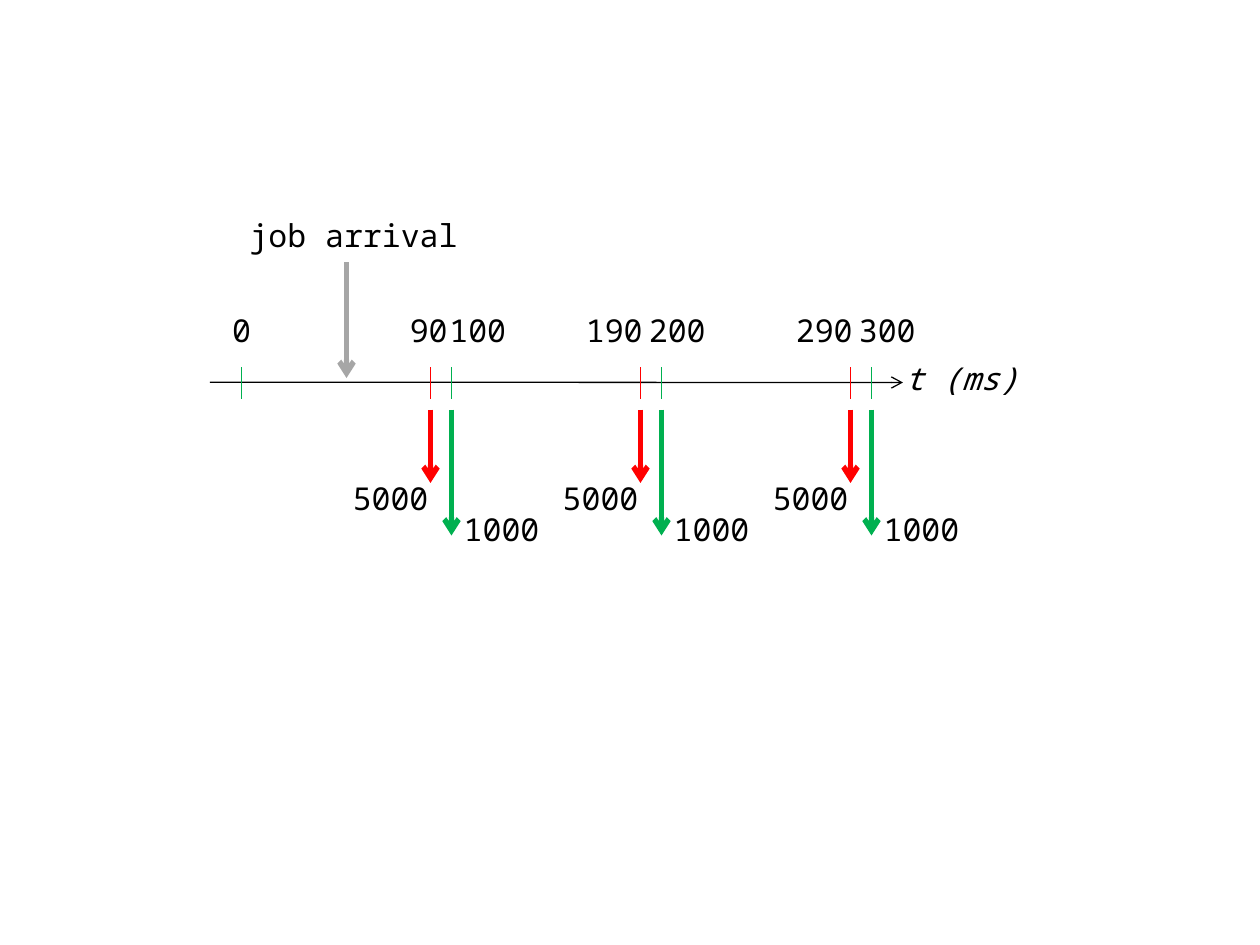
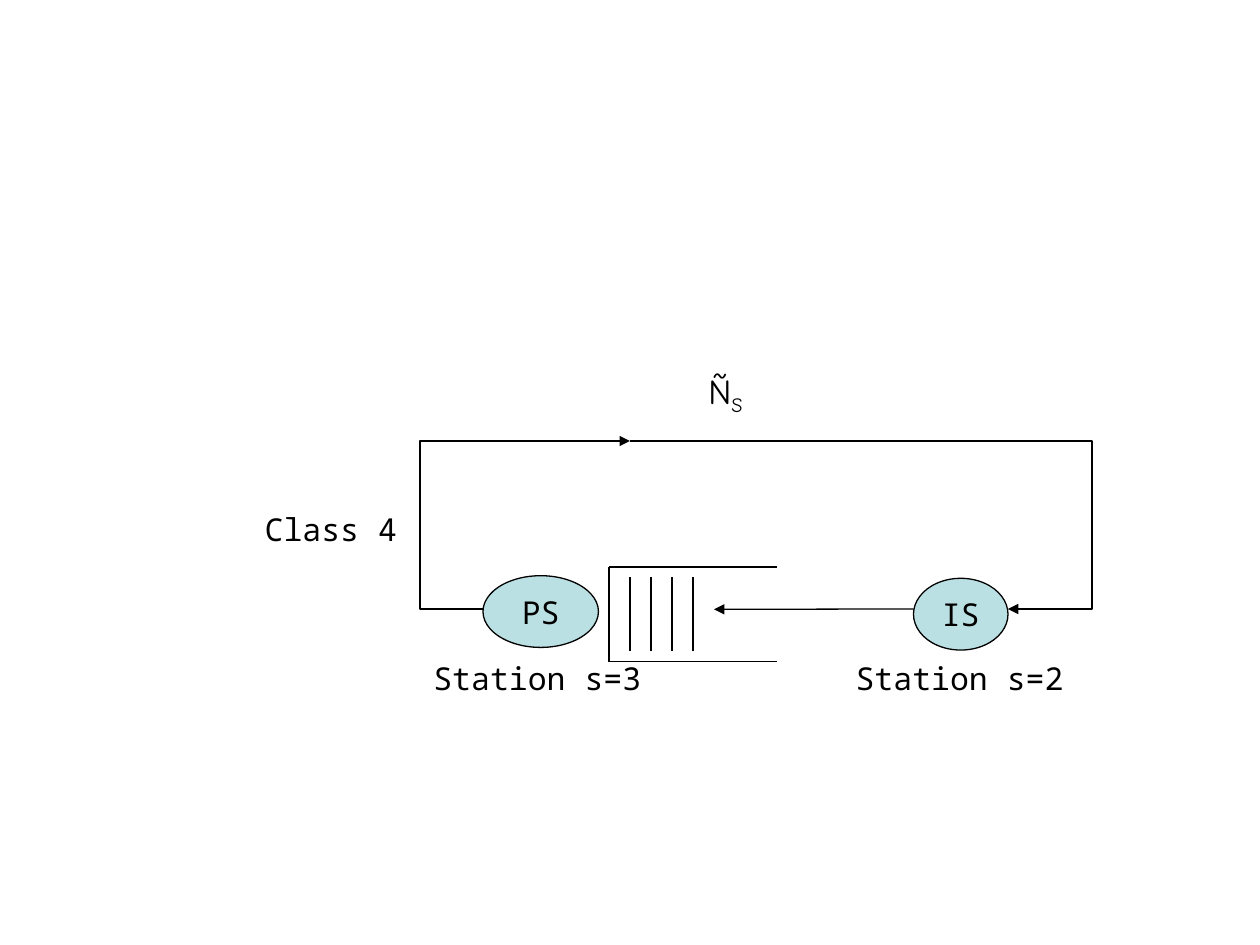
from pptx import Presentation
from pptx.dml.color import RGBColor
from pptx.enum import shapes, text
from pptx.oxml import ns, parse_xml
from pptx.util import Pt

# Content: slide 1, times in ms, label centres in points
SLOTS = [(90, 100), (190, 200), (290, 300)]
TIMES = [("0", 138), ("90", 245), ("100", 273), ("190", 351),
         ("200", 387), ("290", 471), ("300", 507)]
ARRIVAL = ("job arrival", 50)
AXIS = "t (ms)"
LOADS = {"red": ("5000", 276, -22.8, 270), "green": ("1000", 306, 28.6, 288)}

# Content: slide 2, in points
NODES = [("IS", 522, 330.5, 54), ("PS", 276, 329, 66)]
LABELS = [("Station s=2", 548.3, 373), ("Station s=3", 307, 373),
          ("Class 4", 189, 288)]
ROUTES = [[(276, 348), (240, 348), (240, 252), (360, 252)],
          [(498, 252), (624, 252), (624, 348), (576, 348)]]
COUNT = [("Ñ", 20, "Comic Neue", 0), ("S", 20, "Comic Neue", -25000),
         (" ", 18, "Noto Sans Mono", 0)]

# Shared style
HUES = {"ink": "000000", "red": "FF0000", "green": "00B050",
        "grey": "A6A6A6", "node": "BBE0E3"}
FONT, SIZE = "Noto Sans Mono", 18
CHAR, PAD, HIGH = 10.8, 14.4, 28.8


def hue(name):
    return RGBColor.from_string(HUES[name])


def style(run, size=SIZE, font=FONT, slant=False):
    run.font.size, run.font.name = Pt(size), font
    run.font.color.rgb = hue("ink")
    run.font.italic = slant


def tip(shape, head):
    line = shape.element.spPr.find(ns.qn("a:ln"))
    line.append(parse_xml(f'<a:tailEnd {ns.nsdecls("a")} type="{head}"/>'))


def stroke(part, start, end, color="ink", width=0.75, head=None):
    line = part.add_connector(shapes.MSO_CONNECTOR.STRAIGHT,
                              *map(Pt, start + end))
    line.line.color.rgb, line.line.width = hue(color), Pt(width)
    if head:
        tip(line, head)
    line.element.spPr.append(parse_xml(f'<a:effectLst {ns.nsdecls("a")}/>'))


def label(part, words, mid, top, slant=False):
    wide = len(words) * CHAR + PAD
    box = part.add_textbox(*map(Pt, (mid - wide / 2, top, wide, HIGH)))
    frame = box.text_frame
    frame.word_wrap = False
    frame.text = words
    para = frame.paragraphs[0]
    para.alignment = text.PP_ALIGN.CENTER
    style(para.runs[0], slant=slant)


def oval(part, left, top, wide, high, fill=None):
    shape = part.add_shape(shapes.MSO_SHAPE.OVAL,
                           *map(Pt, (left, top, wide, high)))
    shape.shadow.inherit = False
    if fill:
        shape.fill.solid()
        shape.fill.fore_color.rgb = hue(fill)
        shape.line.color.rgb, shape.line.width = hue("ink"), Pt(0.75)
    else:
        shape.fill.background()
        shape.line.fill.background()
    shape.text_frame.vertical_anchor = text.MSO_ANCHOR.MIDDLE
    para = shape.text_frame.paragraphs[0]
    para.alignment = text.PP_ALIGN.CENTER
    return para


def route(part, points):
    spots = [(Pt(x), Pt(y)) for x, y in points]
    build = part.build_freeform(*spots[0])
    build.add_line_segments(spots[1:], close=False)
    shape = build.convert_to_shape()
    shape.shadow.inherit = False
    shape.fill.background()
    shape.line.color.rgb, shape.line.width = hue("ink"), Pt(0.75)
    tip(shape, "triangle")


def place(time):
    return 138 + 1.2 * time


def draw_time(part):
    # Axis and time labels
    stroke(part, (120, 218.4), (516, 218.6), head="arrow")
    label(part, AXIS, 549.5, 201.6, slant=True)
    for words, mid in TIMES:
        label(part, words, mid, 174)

    # Job arrival
    words, time = ARRIVAL
    label(part, words, 202, 120)
    stroke(part, (place(time), 150), (place(time), 216), "grey", 3, "arrow")

    # Ticks and loads
    stroke(part, (place(0), 210), (place(0), 228), "green")
    for slot in SLOTS:
        for time, (color, (load, end, shift, top)) in zip(slot, LOADS.items()):
            x = place(time)
            stroke(part, (x, 210), (x, 228), color)
            stroke(part, (x, 234), (x, end), color, 3, "arrow")
            label(part, load, x + shift, top)


def draw_loop(part):
    # Stations
    for words, left, top, wide in NODES:
        para = oval(part, left, top, wide, 41, "node")
        para.text = words
        style(para.runs[0])
    for words, mid, top in LABELS:
        label(part, words, mid, top)

    # Queue
    queue = part.add_group_shape().shapes
    for y in (324, 378):
        stroke(queue, (444, y), (348, y))
    stroke(queue, (348, 324), (348, 378))
    for slot in range(1, 5):
        x = 348 + 12 * slot
        stroke(queue, (x, 330), (x, 372))

    # Routes
    for points in ROUTES:
        route(part, points)
    stroke(part, (360, 252), (504, 252))
    stroke(part, (522, 348), (408, 348.2), head="triangle")

    # Job count
    para = oval(part, 378, 200, 84, 49)
    for words, size, font, base in COUNT:
        run = para.add_run()
        run.text = words
        style(run, size, font, slant=words == " ")
        if base:
            run.font._element.set("baseline", str(base))


def main():
    deck = Presentation()
    deck.slide_width, deck.slide_height = Pt(720), Pt(540)
    for draw in (draw_time, draw_loop):
        draw(deck.slides.add_slide(deck.slide_layouts[6]).shapes)
    deck.save("out.pptx")


if __name__ == "__main__":
    main()
